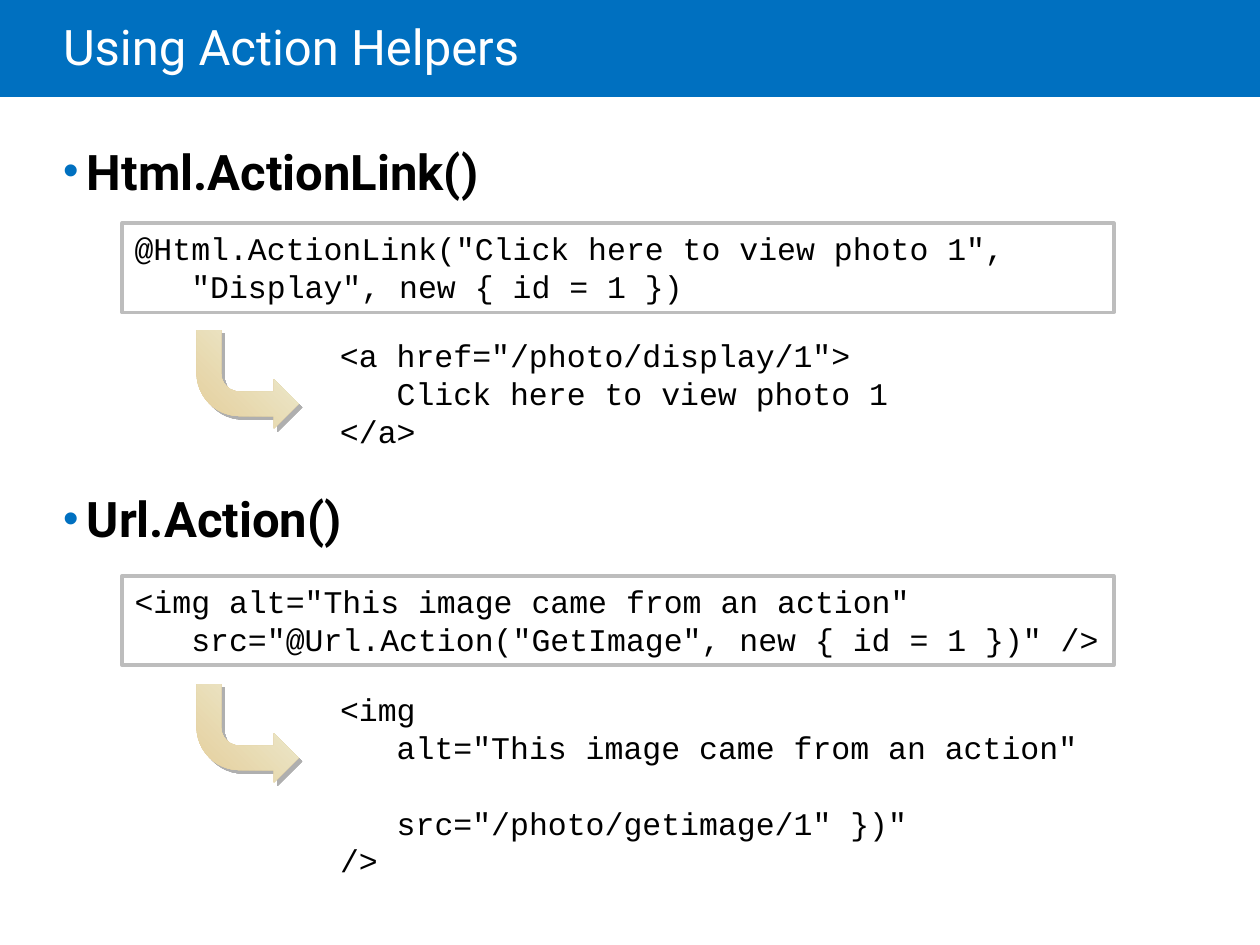
from lxml.etree import SubElement
from pptx import Presentation
from pptx.dml.color import RGBColor
from pptx.enum.shapes import MSO_SHAPE
from pptx.enum.text import MSO_ANCHOR, MSO_AUTO_SIZE, PP_ALIGN
from pptx.oxml.ns import qn
from pptx.util import Inches, Pt

BLUE, WHITE, BLACK, GREY = "0070C0", "FFFFFF", "000000", "BDBDBD"
SAND, CREAM, SHADOW = "E4CD9A", "EEEFD7", "AFAFAF"
CODE_INDENT = Inches(0.45)


def rgb(value):
    """Turn a hex string into a colour."""
    return RGBColor.from_string(value)


def place(sp, left, top, width, height):
    """Move a shape to a box given in inches."""
    sp.left, sp.top = Inches(left), Inches(top)
    sp.width, sp.height = Inches(width), Inches(height)


def set_font(p, name, size, color, bold=False):
    """Format every run of a paragraph."""
    for r in p.runs:
        r.font.name, r.font.size, r.font.bold = name, Pt(size), bold
        r.font.color.rgb = rgb(color)


def set_margins(tf, left, top, right, bottom):
    """Set the text insets in inches."""
    tf.margin_left, tf.margin_top = Inches(left), Inches(top)
    tf.margin_right, tf.margin_bottom = Inches(right), Inches(bottom)


def add_box(s, shape, left, top, width, height):
    """Add a preset shape without line or shadow."""
    sp = s.shapes.add_shape(shape, Inches(left), Inches(top), Inches(width), Inches(height))
    sp.shadow.inherit = False
    sp.line.fill.background()
    return sp


def add_header(s, text, width, height):
    """Put the title on a banner across the top."""
    banner = add_box(s, MSO_SHAPE.RECTANGLE, 0, 0, width, height)
    banner.fill.solid()
    banner.fill.fore_color.rgb = rgb(BLUE)
    s.shapes.title._element.addprevious(banner._element)

    title = s.shapes.title
    place(title, 0.5, 0, 8.5, 0.81)
    tf = title.text_frame
    tf.text = text
    tf.auto_size = MSO_AUTO_SIZE.NONE
    tf.vertical_anchor = MSO_ANCHOR.MIDDLE
    set_margins(tf, 0, 0.05, 0.1, 0.05)
    p = tf.paragraphs[0]
    p.alignment, p.line_spacing = PP_ALIGN.LEFT, 0.85
    set_font(p, "Roboto", 28, WHITE)


def add_bullet(p):
    """Give a paragraph a hanging blue bullet."""
    pPr = p._p.get_or_add_pPr()
    pPr.set("marL", str(Inches(0.19)))
    pPr.set("indent", str(-Inches(0.19)))
    SubElement(SubElement(pPr, qn("a:buClr")), qn("a:srgbClr"), val=BLUE)
    SubElement(pPr, qn("a:buSzPct"), val="90000")
    SubElement(pPr, qn("a:buFont"), typeface="Arial")
    SubElement(pPr, qn("a:buChar"), char="•")


def add_headings(body, items, left, top, width, height):
    """Fill the body with (text, space before) bullets."""
    place(body, left, top, width, height)
    tf = body.text_frame
    tf.text = "\n".join(text for text, _ in items)
    tf.auto_size = MSO_AUTO_SIZE.NONE
    set_margins(tf, 0, 0, 0, 0)
    for p, (_, space) in zip(tf.paragraphs, items):
        p.space_before = Pt(space)
        add_bullet(p)
        set_font(p, "Roboto", 28, BLACK, True)


def write_code(tf, lines):
    """Write (text, indent level, space before) lines of code."""
    tf.word_wrap = True
    tf.vertical_anchor = MSO_ANCHOR.TOP
    tf.text = "\n".join(text for text, _, _ in lines)
    for p, (_, level, space) in zip(tf.paragraphs, lines):
        p.alignment, p.space_before = PP_ALIGN.LEFT, Pt(space)
        p._p.get_or_add_pPr().set("marL", str(level * CODE_INDENT))
        set_font(p, "Courier New", 18, BLACK)


def add_source(s, lines, left, top, width, height):
    """Add a framed box of source code."""
    sp = add_box(s, MSO_SHAPE.RECTANGLE, left, top, width, height)
    sp.fill.solid()
    sp.fill.fore_color.rgb = rgb(WHITE)
    sp.line.color.rgb = rgb(GREY)
    sp.line.width = Pt(2)
    write_code(sp.text_frame, lines)


def add_arrow(s, left, top, width, height):
    """Add a bent arrow that runs down and then right."""
    sp = add_box(s, MSO_SHAPE.BENT_ARROW, left, top, width, height)
    sp.fill.gradient()
    sp.fill.gradient_angle = 315
    for stop, color in zip(sp.fill.gradient_stops, (SAND, CREAM)):
        stop.color.rgb = rgb(color)
    spPr = sp._element.spPr
    spPr.find(qn("a:xfrm")).set("flipV", "1")
    shadow = SubElement(spPr.find(qn("a:effectLst")), qn("a:outerShdw"),
                        dist=str(Pt(2.8)), dir="2700000", algn="ctr", rotWithShape="0")
    SubElement(shadow, qn("a:srgbClr"), val=SHADOW)


def add_example(s, source, result, top, result_top, result_width, result_height):
    """Show source code with an arrow to the HTML it renders."""
    add_source(s, source, 0.97, top, 7.87, 0.71)
    tb = s.shapes.add_textbox(Inches(2.6), Inches(result_top),
                              Inches(result_width), Inches(result_height))
    write_code(tb.text_frame, result)
    add_arrow(s, 1.56, result_top, 0.81, 0.78)


def main():
    """Build the slide and save it."""
    prs = Presentation()
    prs.slide_width, prs.slide_height = Inches(10), Inches(7.5)
    s = prs.slides.add_slide(prs.slide_layouts[1])
    add_header(s, "Using Action Helpers", 10, 0.77)
    add_headings(s.placeholders[1], [("Html.ActionLink()", 6), ("Url.Action()", 165)],
                 0.5, 1.12, 8.88, 5.63)
    add_example(
        s,
        [('@Html.ActionLink("Click here to view photo 1",', 0, 0),
         ('"Display", new { id = 1 })', 1, 0)],
        [('<a href="/photo/display/1">', 0, 0),
         ("Click here to view photo 1", 1, 0),
         ("</a>", 0, 0)],
        1.77, 2.62, 5.07, 1.01)
    add_example(
        s,
        [('<img alt="This image came from an action"', 0, 0),
         ('src="@Url.Action("GetImage", new { id = 1 })" />', 1, 0)],
        [("<img", 0, 0),
         ('alt="This image came from an action"', 1, 0),
         ('src="/photo/getimage/1" })"', 1, 21.5),
         ("/>", 0, 0)],
        4.57, 5.43, 6.28, 1.31)
    prs.save("out.pptx")


if __name__ == "__main__":
    main()
